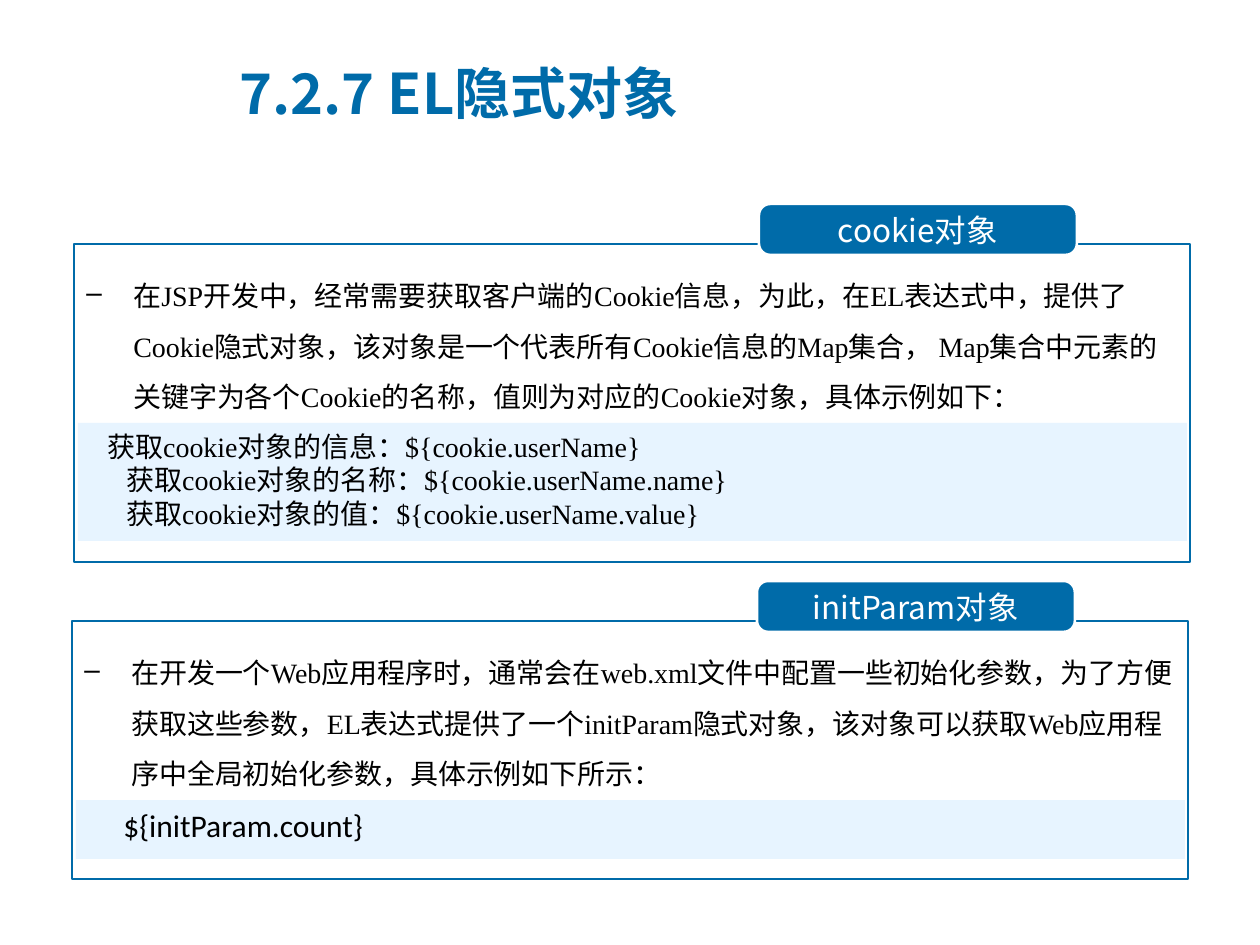
from dataclasses import dataclass

from lxml import etree
from pptx import Presentation
from pptx import util as u
from pptx.dml.color import RGBColor
from pptx.enum import shapes, text
from pptx.oxml import ns


@dataclass(frozen=True)
class Theme:
    blue: str = "006BA9"
    pale: str = "E7F4FF"
    white: str = "FFFFFF"
    black: str = "000000"
    sans: str = "Noto Sans CJK SC"
    serif: str = "Times New Roman"
    plain: str = "Calibri"
    title: int = 32
    label: int = 18
    body: int = 16
    line: float = 1.5


def px(n):
    return u.Emu(round(n * 914400 / 126))


class Deck:
    def __init__(self, theme):
        self.theme = theme
        self.prs = Presentation()
        self.prs.slide_width = px(1260)
        self.prs.slide_height = px(945)
        self.slide = self.prs.slides.add_slide(self.prs.slide_layouts[6])

    def style(self, para, font, size, color, bold=False):
        for run in para.runs:
            run.font.name = font
            run.font.size = u.Pt(size)
            run.font.bold = bold
            run.font.color.rgb = RGBColor.from_string(color)
            east = etree.Element(ns.qn("a:ea"), typeface=self.theme.sans)
            run.font._element.find(ns.qn("a:latin")).addnext(east)

    def indent(self, para, left, first=0):
        props = para._p.get_or_add_pPr()
        props.set("marL", str(px(left)))
        props.set("indent", str(px(first)))
        return props

    def shape(self, kind, box, fill=None, line=None):
        item = self.slide.shapes.add_shape(kind, *map(px, box))
        item.shadow.inherit = False
        if fill:
            item.fill.solid()
            item.fill.fore_color.rgb = RGBColor.from_string(fill)
        else:
            item.fill.background()
        if line:
            item.line.color.rgb = RGBColor.from_string(line)
            item.line.width = u.Pt(self.theme.line)
        else:
            item.line.fill.background()
        return item

    def label(self, box, words):
        frame = self.slide.shapes.add_textbox(*map(px, box)).text_frame
        frame.word_wrap = True
        frame.text = words
        return frame

    def title(self, box, words):
        t = self.theme
        frame = self.label(box, words)
        frame.vertical_anchor = text.MSO_ANCHOR.MIDDLE
        self.style(frame.paragraphs[0], t.sans, t.title, t.blue, True)

    def body(self, box, words):
        t = self.theme
        para = self.label(box, words).paragraphs[0]
        para.line_spacing = 1.5
        para.space_before = u.Pt(3.2)
        props = self.indent(para, 47, -47)
        etree.SubElement(props, ns.qn("a:buChar"), char="–")
        self.style(para, t.serif, t.body, t.black)

    def tab(self, box, words):
        t = self.theme
        item = self.shape(shapes.MSO_SHAPE.ROUNDED_RECTANGLE, box, t.blue, t.white)
        item.adjustments[0] = 0.22
        frame = item.text_frame
        frame.text = words
        frame.margin_left = frame.margin_right = px(30)
        frame.margin_top = frame.margin_bottom = px(7)
        frame.vertical_anchor = text.MSO_ANCHOR.MIDDLE
        frame.paragraphs[0].alignment = text.PP_ALIGN.CENTER
        self.style(frame.paragraphs[0], t.sans, t.label, t.white)

    def code(self, box, lines, font, size):
        t = self.theme
        frame = self.shape(shapes.MSO_SHAPE.RECTANGLE, box, t.pale).text_frame
        frame.text = "\n".join(words for _, words in lines)
        frame.vertical_anchor = text.MSO_ANCHOR.TOP
        for para, (left, _) in zip(frame.paragraphs, lines):
            para.alignment = text.PP_ALIGN.LEFT
            self.indent(para, left)
            self.style(para, font, size, t.black)

    def panel(self, left, top, high, name, words, lines, deep, font, size):
        self.body((left, top + 12, 1116, 168), words)
        self.shape(shapes.MSO_SHAPE.RECTANGLE, (left, top, 1116, high),
                   line=self.theme.blue)
        self.tab((left + 685, top - 40, 318, 51), name)
        self.code((left + 4, top + 179, 1109, deep), lines, font, size)


def main():
    t = Theme()
    deck = Deck(t)
    deck.panel(
        74, 244, 318, "cookie对象",
        "在JSP开发中，经常需要获取客户端的Cookie信息，为此，在EL表达式中，"
        "提供了Cookie隐式对象，该对象是一个代表所有Cookie信息的Map集合， "
        "Map集合中元素的关键字为各个Cookie的名称，值则为对应的Cookie对象，"
        "具体示例如下：",
        [(17, "获取cookie对象的信息：${cookie.userName}"),
         (36, "获取cookie对象的名称：${cookie.userName.name}"),
         (36, "获取cookie对象的值：${cookie.userName.value}")],
        118, t.serif, t.body)
    deck.panel(
        72, 621, 258, "initParam对象",
        "在开发一个Web应用程序时，通常会在web.xml文件中配置一些初始化参数，"
        "为了方便获取这些参数，EL表达式提供了一个initParam隐式对象，"
        "该对象可以获取Web应用程序中全局初始化参数，具体示例如下所示：",
        [(35, "${initParam.count}")],
        59, t.plain, t.label)
    deck.title((227, 54, 854, 77), "7.2.7 EL隐式对象")
    deck.prs.save("out.pptx")


if __name__ == "__main__":
    main()
